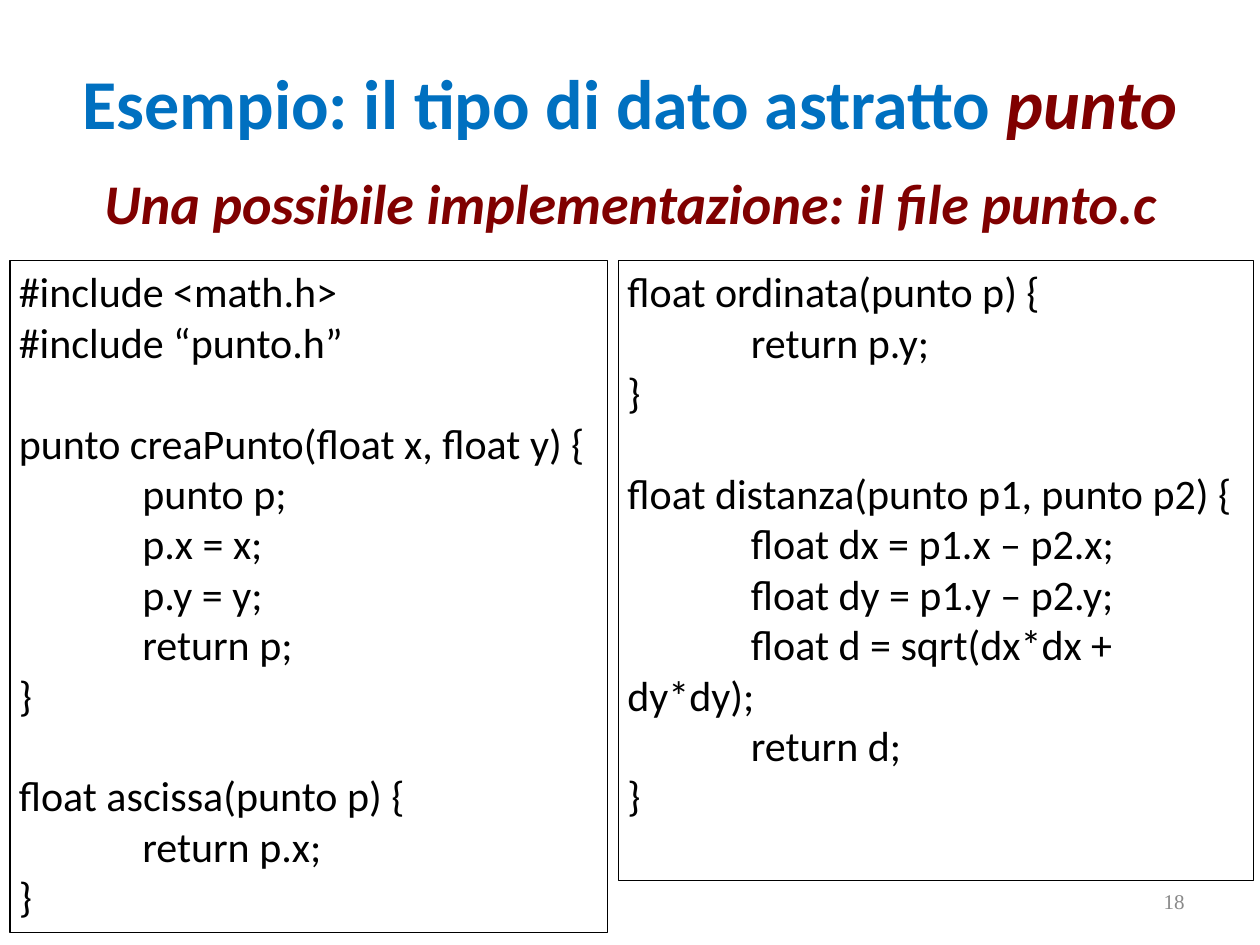
from dataclasses import dataclass

from pptx import Presentation
from pptx.dml.color import RGBColor
from pptx.enum.shapes import MSO_SHAPE
from pptx.enum.text import MSO_ANCHOR, PP_ALIGN
from pptx.util import Inches, Pt

RECT = MSO_SHAPE.RECTANGLE
TOP, MIDDLE = MSO_ANCHOR.TOP, MSO_ANCHOR.MIDDLE
LEFT, CENTER, RIGHT = PP_ALIGN.LEFT, PP_ALIGN.CENTER, PP_ALIGN.RIGHT


@dataclass(frozen=True)
class Theme:
    font: str = "Calibri"
    serif: str = "Times New Roman"
    black: str = "000000"
    blue: str = "0070C0"
    red: str = "800000"
    gray: str = "898989"
    title: int = 40
    sub: int = 32
    code: int = 24
    small: int = 12
    gap: float = 28.8    # one empty code line, in points
    tab: float = 0.98    # code indent, in inches


class Deck:
    def __init__(self, theme):
        self.theme = theme
        self.prs = Presentation()
        self.prs.slide_width, self.prs.slide_height = Inches(10), Inches(7.5)
        self.slide = self.prs.slides.add_slide(self.prs.slide_layouts[6])

    def run(self, para, text, size, color, font=None, bold=False, italic=False):
        run = para.add_run()
        run.text = text
        face = run.font
        face.name, face.size = font or self.theme.font, Pt(size)
        face.bold, face.italic = bold, italic
        face.color.rgb = RGBColor.from_string(color)

    def label(self, box, align, anchor, wrap=True):
        """Add a text box and return its first paragraph."""
        shape = self.slide.shapes.add_textbox(*map(Inches, box))
        frame = shape.text_frame
        frame.word_wrap, frame.vertical_anchor = wrap, anchor
        para = frame.paragraphs[0]
        para.alignment = align
        return para

    def code(self, box, blocks):
        """Add a framed listing; blocks are set apart by one line."""
        look = self.theme
        shape = self.slide.shapes.add_shape(RECT, *map(Inches, box))
        shape.shadow.inherit = False
        shape.fill.background()
        shape.line.color.rgb = RGBColor.from_string(look.black)
        shape.line.width = Pt(0.75)
        frame = shape.text_frame
        frame.word_wrap, frame.vertical_anchor = True, TOP
        frame.margin_left = frame.margin_right = Inches(0.07)
        frame.margin_top = frame.margin_bottom = Inches(0.04)
        para = frame.paragraphs[0]
        for b, block in enumerate(blocks):
            for n, line in enumerate(block):
                if b or n:
                    para = frame.add_paragraph()
                para.alignment = LEFT
                if b and not n:
                    para.space_before = Pt(look.gap)
                if line.startswith("\t"):
                    props = para._p.get_or_add_pPr()
                    props.set("marL", "0")
                    props.set("indent", str(Inches(look.tab)))
                self.run(para, line.strip(), look.code, look.black)


def main():
    look = Theme()
    deck = Deck(look)

    # Title and subtitle
    para = deck.label((0.5, 0.32, 9, 0.97), CENTER, MIDDLE)
    deck.run(para, "Esempio: il tipo di dato astratto ", look.title, look.blue, bold=True)
    deck.run(para, "punto", look.title, look.red, bold=True, italic=True)
    para = deck.label((0.73, 1.29, 8.64, 0.64), LEFT, TOP, wrap=False)
    deck.run(para, "Una possibile implementazione: il file punto.c",
             look.sub, look.red, bold=True, italic=True)

    # Code listings
    deck.code((0.08, 2.07, 4.74, 5.33), [
        ["#include <math.h>", "#include “punto.h”"],
        ["punto creaPunto(float x, float y) {", "\tpunto p;", "\tp.x = x;",
         "\tp.y = y;", "\treturn p;", "}"],
        ["float ascissa(punto p) {", "\treturn p.x;", "}"],
    ])
    deck.code((4.91, 2.07, 5.04, 4.92), [
        ["float ordinata(punto p) {", "\treturn p.y;", "}"],
        ["float distanza(punto p1, punto p2) {", "\tfloat dx = p1.x – p2.x;",
         "\tfloat dy = p1.y – p2.y;", "\tfloat d = sqrt(dx*dx + dy*dy);",
         "\treturn d;", "}"],
    ])

    # Page number
    para = deck.label((7.17, 6.95, 2.33, 0.4), RIGHT, MIDDLE)
    deck.run(para, "18", look.small, look.gray, font=look.serif)

    deck.prs.save("out.pptx")


if __name__ == "__main__":
    main()
